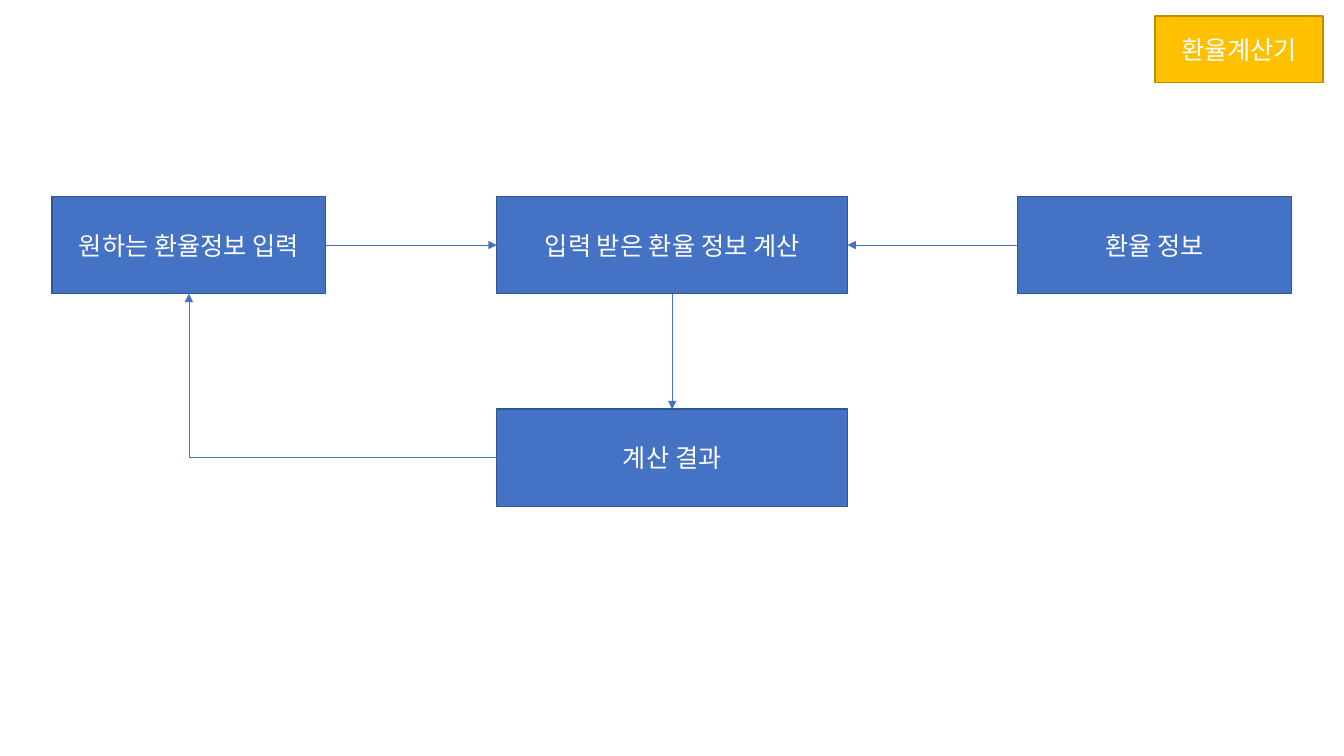
from dataclasses import dataclass

from lxml import etree
from pptx import Presentation
from pptx import util as u
from pptx.dml.color import RGBColor
from pptx.enum import shapes, text
from pptx.oxml import ns


@dataclass(frozen=True)
class Theme:
    blue: str = "4472C4"
    blue_edge: str = "325491"
    gold: str = "FFC000"
    gold_edge: str = "BD8E00"
    white: str = "FFFFFF"
    font: str = "Noto Sans CJK KR"
    size: float = 18
    edge_width: float = 1
    arrow_width: float = 0.5


THEME = Theme()


@dataclass(frozen=True)
class Box:
    label: str
    left: float
    top: float
    width: float
    height: float = 2.45
    fill: str = THEME.blue
    edge: str = THEME.blue_edge


@dataclass(frozen=True)
class Arrow:
    start: str
    start_site: int
    end: str
    end_site: int
    bent: bool = False


# Connection sites of a rectangle
TOP, LEFT, BOTTOM, RIGHT = range(4)

# Columns and rows of the flow, in cm
SIDE_W, MID_W = 6.9, 8.84
INPUT_X, MID_X, RATES_X = 1.31, 12.52, 25.65
ROW_1, ROW_2 = 4.95, 10.31

BOXES = {
    "title": Box("환율계산기", 29.11, 0.4, 4.23, 1.68, THEME.gold, THEME.gold_edge),
    "input": Box("원하는 환율정보 입력", INPUT_X, ROW_1, SIDE_W),
    "rates": Box("환율 정보", RATES_X, ROW_1, SIDE_W),
    "calc": Box("입력 받은 환율 정보 계산", MID_X, ROW_1, MID_W),
    "result": Box("계산 결과", MID_X, ROW_2, MID_W),
}

ARROWS = [
    Arrow("input", RIGHT, "calc", LEFT),
    Arrow("rates", LEFT, "calc", RIGHT),
    Arrow("calc", BOTTOM, "result", TOP),
    Arrow("result", LEFT, "input", BOTTOM, bent=True),
]


def set_all(target, values: dict) -> None:
    for name, value in values.items():
        setattr(target, name, value)


def set_line(line, color: str, width: float) -> None:
    line.color.rgb = RGBColor.from_string(color)
    line.width = u.Pt(width)


def add_box(s, box: Box):
    sp = s.shapes.add_shape(
        shapes.MSO_SHAPE.RECTANGLE,
        *map(u.Cm, (box.left, box.top, box.width, box.height)),
    )
    sp.shadow.inherit = False
    sp.fill.solid()
    sp.fill.fore_color.rgb = RGBColor.from_string(box.fill)
    set_line(sp.line, box.edge, THEME.edge_width)

    # Label
    tf = sp.text_frame
    set_all(tf, {"word_wrap": True, "vertical_anchor": text.MSO_ANCHOR.MIDDLE})
    p = tf.paragraphs[0]
    p.alignment = text.PP_ALIGN.CENTER
    r = p.add_run()
    r.text = box.label
    r.font.color.rgb = RGBColor.from_string(THEME.white)
    set_all(r.font, {"size": u.Pt(THEME.size), "name": THEME.font})
    etree.SubElement(r.font._element, ns.qn("a:ea"), typeface=THEME.font)
    return sp


def add_arrow(s, arrow: Arrow, drawn: dict) -> None:
    kind = shapes.MSO_CONNECTOR.ELBOW if arrow.bent else shapes.MSO_CONNECTOR.STRAIGHT
    cx = s.shapes.add_connector(kind, 0, 0, 0, 0)
    cx.begin_connect(drawn[arrow.start], arrow.start_site)
    cx.end_connect(drawn[arrow.end], arrow.end_site)
    set_line(cx.line, THEME.blue, THEME.arrow_width)

    # Arrowhead, and no shadow
    sp_pr = cx._element.spPr
    etree.SubElement(sp_pr.find(ns.qn("a:ln")), ns.qn("a:tailEnd"), type="triangle")
    etree.SubElement(sp_pr, ns.qn("a:effectLst"))

    # Single corner: left first, then up
    if arrow.bent:
        sp_pr.find(ns.qn("a:prstGeom")).set("prst", "bentConnector2")
        xfrm = sp_pr.find(ns.qn("a:xfrm"))
        for flip in ("flipH", "flipV"):
            xfrm.attrib.pop(flip, None)
        xfrm.set("rot", "10800000")


def main() -> None:
    prs = Presentation()
    set_all(prs, {"slide_width": u.Cm(33.87), "slide_height": u.Cm(19.05)})
    s = prs.slides.add_slide(prs.slide_layouts[6])

    drawn = {name: add_box(s, box) for name, box in BOXES.items()}
    for arrow in ARROWS:
        add_arrow(s, arrow, drawn)

    prs.save("out.pptx")


if __name__ == "__main__":
    main()
